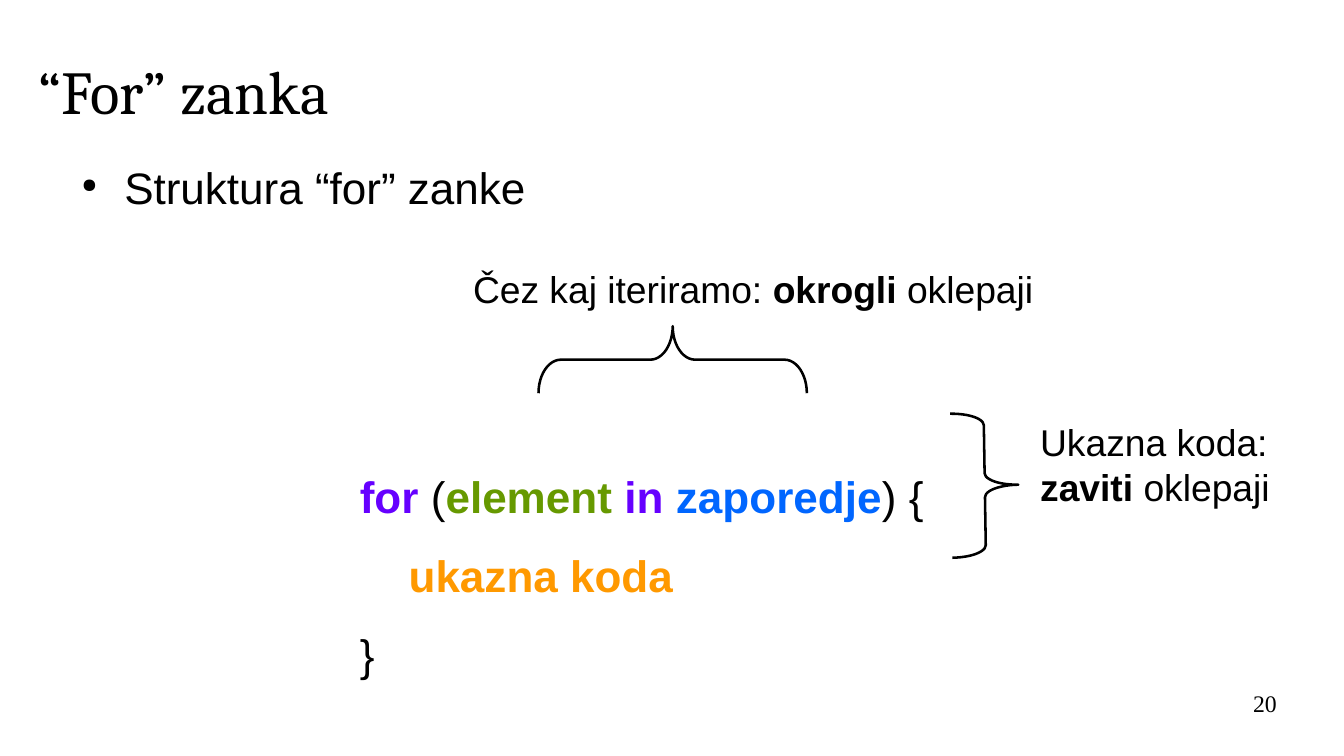
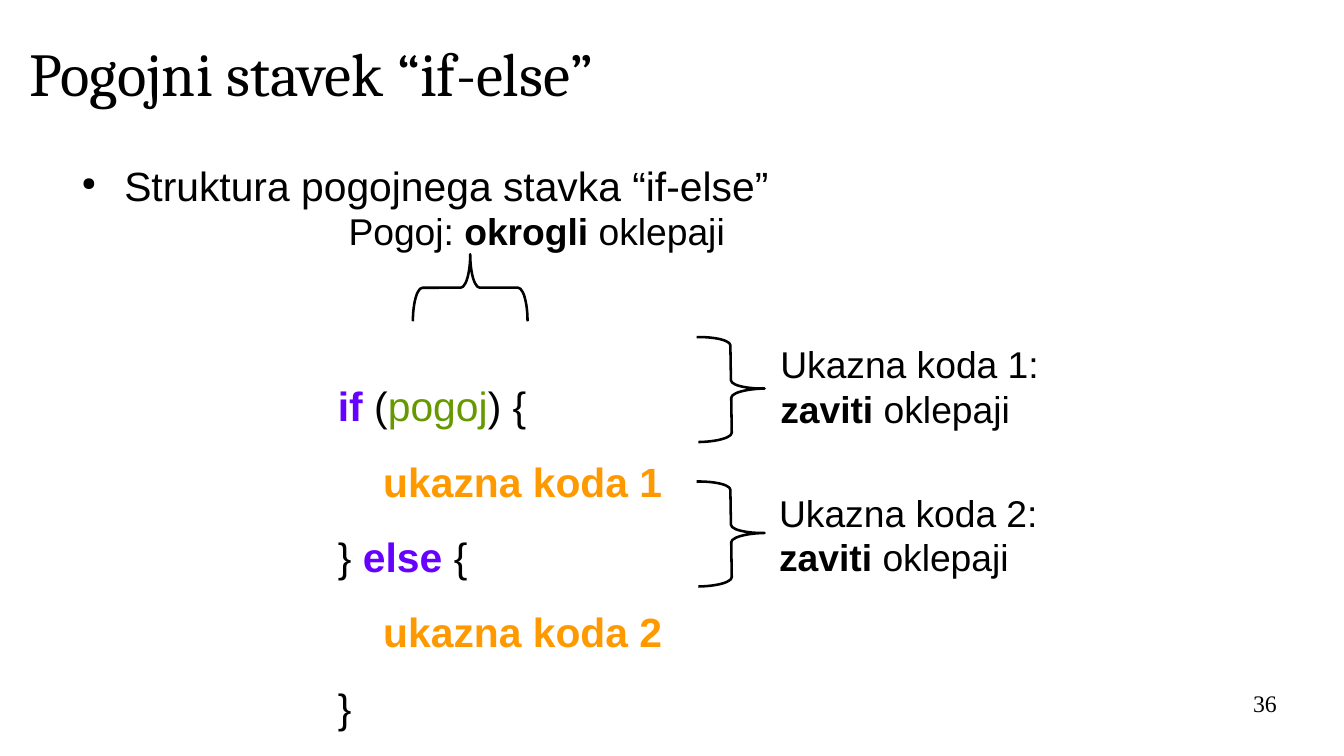
from pptx import Presentation
from pptx.dml.color import RGBColor
from pptx.enum.shapes import MSO_SHAPE
from pptx.enum.text import MSO_ANCHOR, MSO_AUTO_SIZE, PP_ALIGN
from pptx.util import Pt
from lxml.etree import SubElement
from pptx.oxml.ns import qn

# Shared look
COLORS = {"text": "000000", "keyword": "6600FF", "green": "669900",
          "blue": "0066FF", "orange": "FF9900"}
LINE_GAP = 15.6
BODY_TOP = 95
BRACE_DEPTH = 39.6
UP, RIGHT = 90, 179.1
CODE_INDENT = "    "


def write(tf, lines, size, font="Arial", gap=0, align=PP_ALIGN.LEFT, inset=(0, 0)):
    """Fill a text frame; each line is a list of (text, colour, bold) runs."""
    tf.word_wrap = True
    tf.auto_size = MSO_AUTO_SIZE.NONE
    tf.margin_left = tf.margin_right = Pt(inset[0])
    tf.margin_top = tf.margin_bottom = Pt(inset[1])
    for i, line in enumerate(lines):
        p = tf.paragraphs[0] if i == 0 else tf.add_paragraph()
        p.alignment = align
        p.space_before = Pt(gap if i else 0)
        for text, color, bold in line:
            r = p.add_run()
            r.text = text
            r.font.name, r.font.size, r.font.bold = font, Pt(size), bold
            r.font.color.rgb = RGBColor.from_string(COLORS[color])


def add_text(s, box, lines, size, **style):
    tf = s.shapes.add_textbox(*[Pt(v) for v in box]).text_frame
    write(tf, lines, size, **style)
    return tf


# Content: braces are (centre x, centre y, span, direction),
# labels are (box, plain start, bold word on the same line or the next)
slides = [
    {"title": "“For” zanka", "title_box": (23, 15.8, 714, 75),
     "bullet": "Struktura “for” zanke", "size": 26, "number": "20",
     "code_left": 212.4, "code_row": 4,
     "code": [
         [("for ", "keyword", True), ("(", "text", False), ("element ", "green", True),
          ("in ", "keyword", True), ("zaporedje", "blue", True), (") {", "text", False)],
         [(CODE_INDENT + "ukazna koda", "orange", True)],
         [("}", "text", False)]],
     "braces": [(397.1, 212.4, 158.4, UP), (581.4, 286.5, 85, RIGHT)],
     "over": ("Čez kaj iteriramo: ", (272.2, 153.4, 369, 56)),
     "beside": [("Ukazna koda:", (607, 244, 164, 81))]},
    {"title": "Pogojni stavek “if-else”", "title_box": (17.3, 10.8, 714, 63.4),
     "bullet": "Struktura pogojnega stavka “if-else”", "size": 24.1, "number": "36",
     "code_left": 199.5, "code_row": 3,
     "code": [
         [("if ", "keyword", True), ("(", "text", False), ("pogoj", "green", False),
          (") {", "text", False)],
         [(CODE_INDENT + "ukazna koda 1", "orange", True)],
         [("} ", "text", False), ("else ", "keyword", True), ("{", "text", False)],
         [(CODE_INDENT + "ukazna koda 2", "orange", True)],
         [("}", "text", False)]],
     "braces": [(277.6, 169.9, 67.7, UP), (431.6, 229.7, 62, RIGHT),
                (431.6, 315, 62, RIGHT)],
     "over": ("Pogoj: ", (198.7, 119.5, 369, 56)),
     "beside": [("Ukazna koda 1:", (453.6, 198, 215, 106)),
                ("Ukazna koda 2:", (452.9, 285.8, 215, 106))]},
]

prs = Presentation()
prs.slide_width, prs.slide_height = Pt(793.44), Pt(446.4)

for d in slides:
    s = prs.slides.add_slide(prs.slide_layouts[5])

    # Title
    title = s.shapes.title
    title.left, title.top, title.width, title.height = [Pt(v) for v in d["title_box"]]
    write(title.text_frame, [[(d["title"], "text", False)]], 36, font="Cambria")
    title.text_frame.vertical_anchor = MSO_ANCHOR.MIDDLE

    # Bullet
    size = d["size"]
    tf = add_text(s, (39.6, BODY_TOP, 714, 36), [[(d["bullet"], "text", False)]], size)
    pPr = tf.paragraphs[0]._p.get_or_add_pPr()
    pPr.set("marL", str(Pt(33.8)))
    pPr.set("indent", str(Pt(-25.2)))
    SubElement(SubElement(pPr, qn("a:buClr")), qn("a:srgbClr"), val=COLORS["text"])
    SubElement(pPr, qn("a:buSzPct"), val="45000")
    SubElement(pPr, qn("a:buChar"), char="●")

    # Code, on the same line grid as the bullet
    pitch = size * 1.15 + LINE_GAP
    add_text(s, (d["code_left"], BODY_TOP + d["code_row"] * pitch, 400,
                 len(d["code"]) * pitch), d["code"], size, gap=LINE_GAP)

    # Braces
    for cx, cy, span, turn in d["braces"]:
        sp = s.shapes.add_shape(MSO_SHAPE.LEFT_BRACE, Pt(cx - BRACE_DEPTH / 2),
                                Pt(cy - span / 2), Pt(BRACE_DEPTH), Pt(span))
        sp.rotation = turn
        sp.adjustments[0] = span / BRACE_DEPTH / 12
        sp.shadow.inherit = False
        sp.fill.background()
        sp.line.color.rgb = RGBColor.from_string(COLORS["text"])
        sp.line.width = Pt(1.5)

    # Labels
    lead, box = d["over"]
    add_text(s, box, [[(lead, "text", False), ("okrogli", "text", True),
                       (" oklepaji", "text", False)]], 22, inset=(7.2, 3.6))
    for lead, box in d["beside"]:
        add_text(s, box, [[(lead, "text", False)],
                          [("zaviti", "text", True), (" oklepaji", "text", False)]],
                 22, inset=(7.2, 3.6))

    # Slide number
    add_text(s, (568.8, 406.8, 185, 31), [[(d["number"], "text", False)]], 14,
             font="Times New Roman", align=PP_ALIGN.RIGHT)

prs.save("out.pptx")
